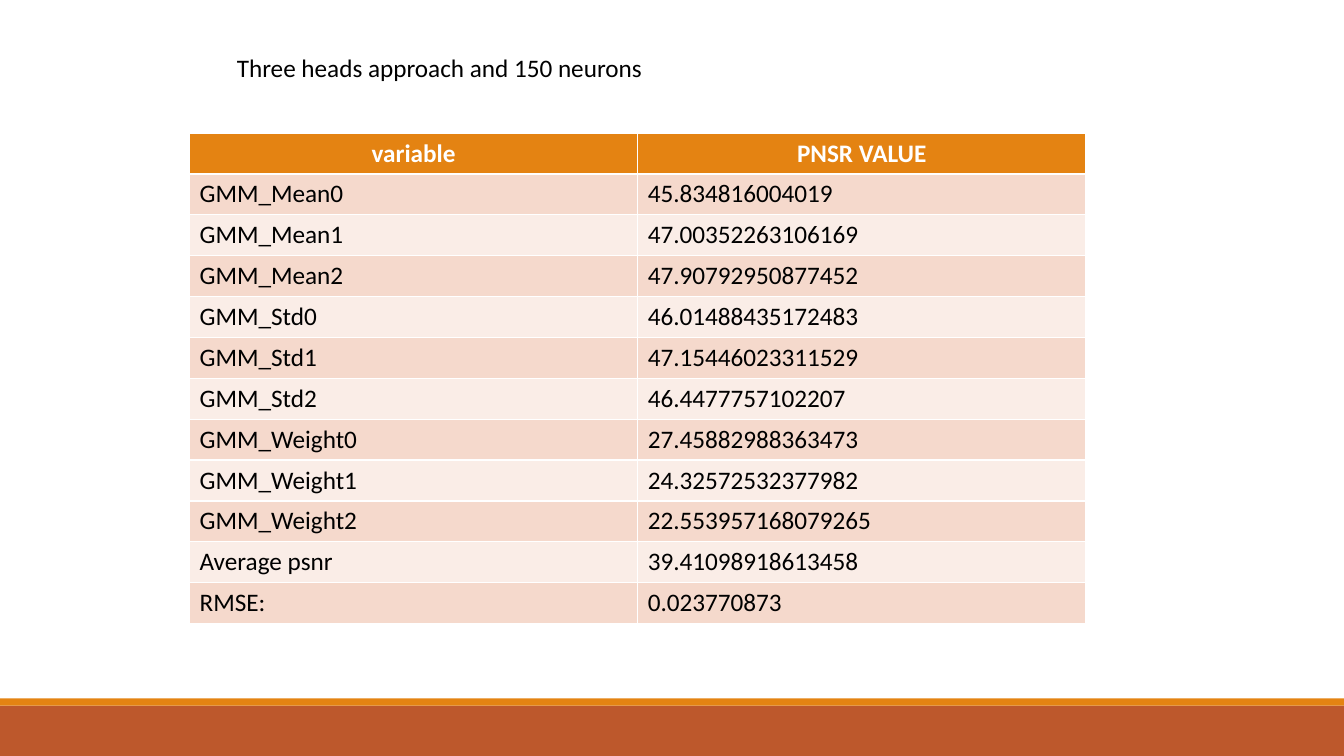
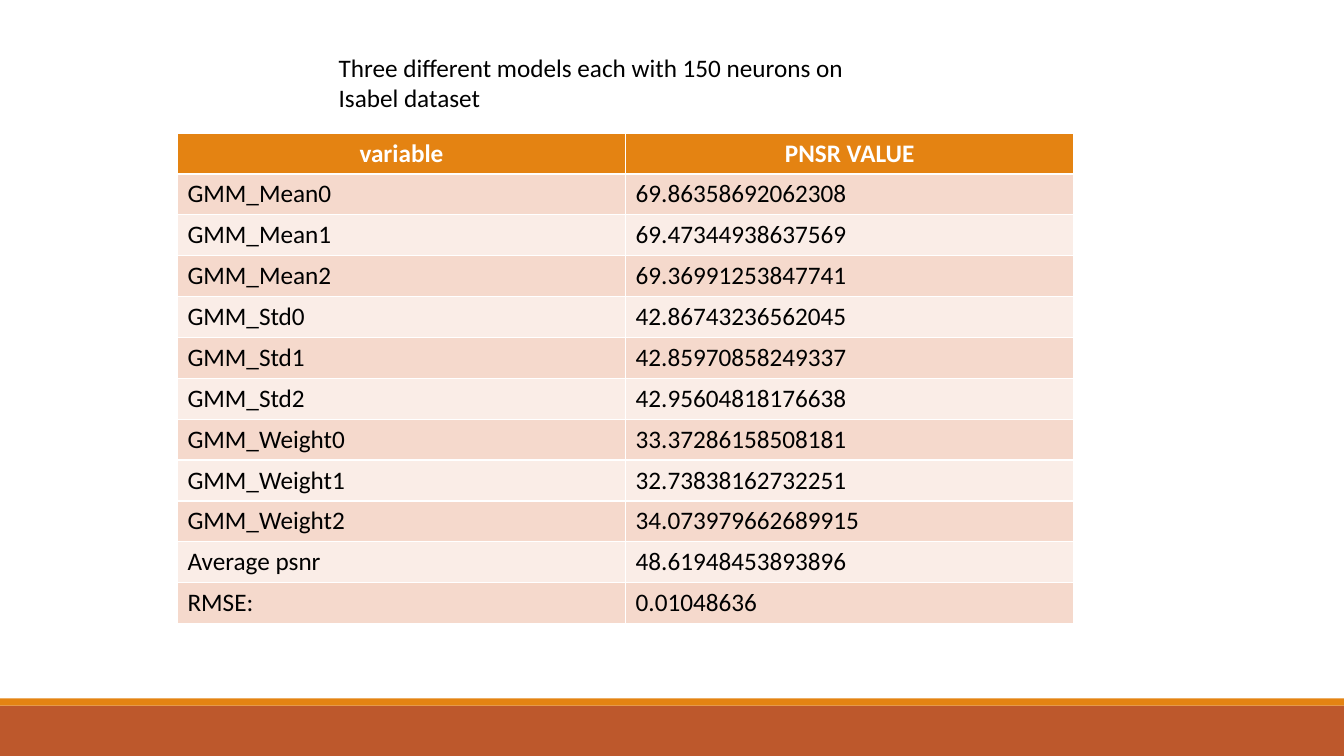
"""Build two slides that compare PSNR values per variable."""
from pptx import Presentation
from pptx.dml.color import RGBColor
from pptx.enum.shapes import MSO_SHAPE as Shape
from pptx.enum.text import MSO_AUTO_SIZE as Fit, PP_ALIGN as Align
from pptx.util import Inches, Pt

ORANGE, RUST = "E48312", "BD582C"
BANDS = "FAEDE7", "F5D9CC"
WHITE, BLACK = "FFFFFF", "000000"
FONT = {"name": "Calibri", "size": Pt(18)}
NAMES = [f"GMM_{kind}{num}" for kind in ("Mean", "Std", "Weight") for num in range(3)]
NAMES += ["Average psnr", "RMSE:"]

PAGES = [
    ("Three heads approach and 150 neurons", (2.25, 0.47, 7.95, 0.4), 1.88,
     ["45.834816004019", "47.00352263106169", "47.90792950877452",
      "46.01488435172483", "47.15446023311529", "46.4477757102207",
      "27.45882988363473", "24.32572532377982", "22.553957168079265",
      "39.41098918613458", "0.023770873"]),
    ("Three different models each with 150 neurons on Isabel dataset",
     (3.26, 0.47, 5.58, 0.71), 1.76,
     ["69.86358692062308", "69.47344938637569", "69.36991253847741",
      "42.86743236562045", "42.85970858249337", "42.95604818176638",
      "33.37286158508181", "32.73838162732251", "34.073979662689915",
      "48.61948453893896", "0.01048636"]),
]


def paint(fill, color):
    fill.solid()
    fill.fore_color.rgb = RGBColor.from_string(color)


def write(frame, text, color, bold=False):
    para = frame.paragraphs[0]
    run = para.add_run()
    run.text = text
    for key, value in {**FONT, "bold": bold}.items():
        setattr(run.font, key, value)
    paint(run.font.fill, color)
    return para


prs = Presentation()
prs.slide_width, prs.slide_height = Inches(13.33), Inches(7.5)
blank = prs.slide_layouts[6]
slides = [prs.slides.add_slide(blank) for page in PAGES]

for num, (top, height, color) in enumerate([(7, 0.5, RUST), (6.93, 0.07, ORANGE)]):
    band = slides[0].shapes.add_shape(
        Shape.RECTANGLE, 0, Inches(top), prs.slide_width, Inches(height))
    band.shadow.inherit = False
    paint(band.fill, color)
    band.line.fill.background()
    band.element.nvSpPr.cNvPr.set("id", str(20 + num))
    blank.shapes.element.append(band.element)

for slide, (title, place, left, values) in zip(slides, PAGES):
    rows = [("variable", "PNSR VALUE"), *zip(NAMES, values)]
    table = slide.shapes.add_table(
        len(rows), 2, Inches(left), Inches(1.32), Inches(8.89), Inches(4.87)).table
    for row, texts in enumerate(rows):
        head = row == 0
        for col, text in enumerate(texts):
            cell = table.cell(row, col)
            paint(cell.fill, ORANGE if head else BANDS[row % 2])
            para = write(cell.text_frame, text, WHITE if head else BLACK, head)
            para.alignment = Align.CENTER if head else Align.LEFT

    frame = slide.shapes.add_textbox(*map(Inches, place)).text_frame
    frame.word_wrap = True
    frame.auto_size = Fit.SHAPE_TO_FIT_TEXT
    write(frame, title, BLACK)

prs.save("out.pptx")
